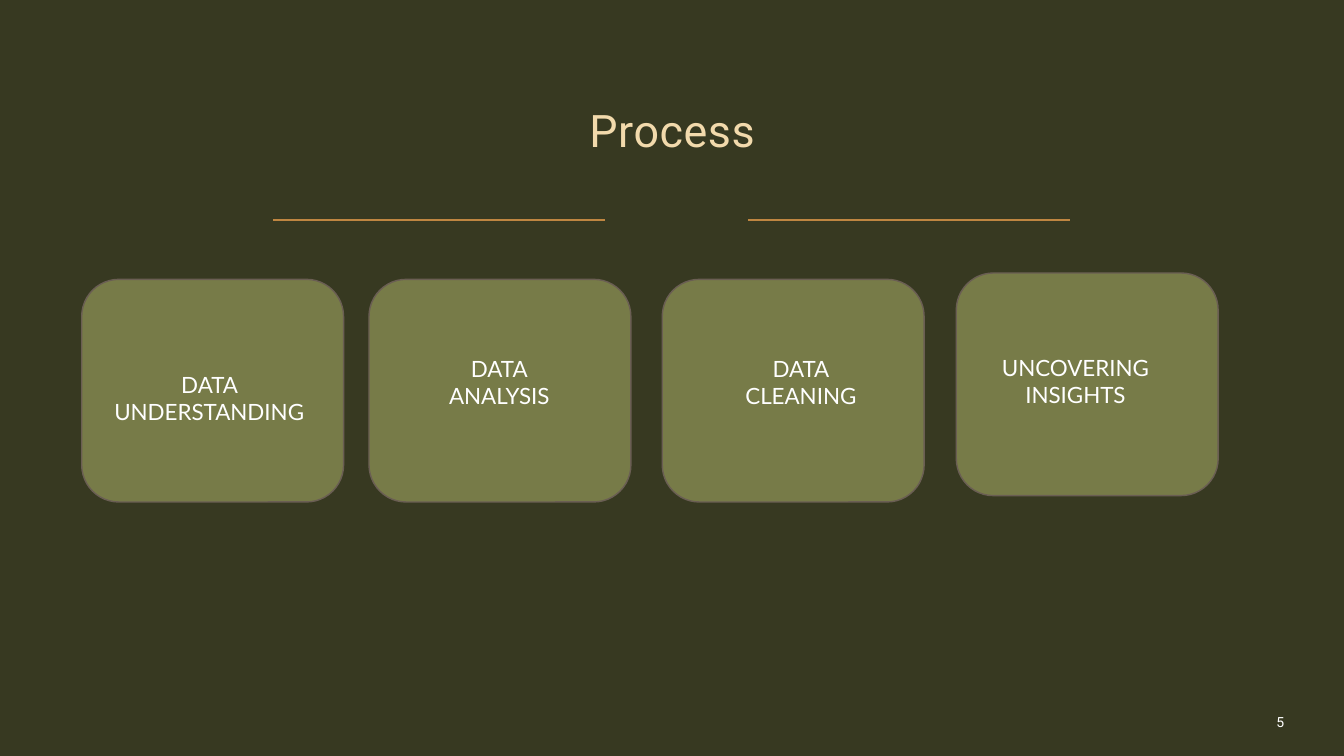
from dataclasses import dataclass

from lxml import etree
from pptx import Presentation, util as u
from pptx.dml.color import RGBColor
from pptx.enum import shapes, text
from pptx.oxml import ns


@dataclass(frozen=True)
class Theme:
    background: str = "373921"
    title: str = "F2DAAC"
    rule: str = "BF8641"
    card: str = "777B48"
    card_edge: str = "6A5E53"
    body: str = "FFFFFF"
    title_size: int = 32
    card_size: int = 16
    number_size: int = 10
    heading_font: str = "Roboto"
    body_font: str = "Lato"
    line_width: int = 1


THEME = Theme()
ALIGN = text.PP_ALIGN
ANCHOR = text.MSO_ANCHOR

# Card left and top, then caption offset inside the card, in cm
CARD_SIZE = (6.6, 5.61)
CAPTION_SIZE = (5.51, 1.63)
STEPS = [
    (["DATA UNDERSTANDING"], (2.06, 7.04), (0.46, 2.18)),
    (["DATA", "ANALYSIS"], (9.3, 7.04), (0.53, 1.78)),
    (["DATA", "CLEANING"], (16.69, 7.04), (0.74, 1.78)),
    (["UNCOVERING", "INSIGHTS"], (24.1, 6.88), (0.25, 1.93)),
]


def color(value):
    return RGBColor.from_string(value)


def add_text(page, area, lines, style, align=ALIGN.CENTER, anchor=ANCHOR.TOP,
             line_spacing=None, tracking=None):
    """Write lines in a text box; area is left, top, width, height in cm."""
    box = page.shapes.add_textbox(*map(u.Cm, area))
    frame = box.text_frame
    frame.word_wrap = True
    frame.vertical_anchor = anchor
    for index, line in enumerate(lines):
        para = frame.paragraphs[0] if index == 0 else frame.add_paragraph()
        para.alignment = align
        para.line_spacing = line_spacing
        span = para.add_run()
        span.text = line
        for name, value in style.items():
            if name == "color":
                span.font.color.rgb = color(value)
            else:
                setattr(span.font, name, value)
        if tracking:
            span._r.get_or_add_rPr().set("spc", str(tracking))


def add_header(page, left, top, width):
    """Centred title with a rule on each side below it."""
    style = {"name": THEME.heading_font, "size": u.Pt(THEME.title_size), "color": THEME.title}
    add_text(page, (left, top, width, 2.54), ["Process"], style,
             anchor=ANCHOR.MIDDLE, line_spacing=0.9, tracking=40)
    rule_top = u.Cm(top + 3.46)
    for start, end in ((5.61, 13.97), (17.58, 25.7)):
        rule = page.shapes.add_connector(
            shapes.MSO_CONNECTOR.STRAIGHT,
            u.Cm(left + start), rule_top, u.Cm(left + end), rule_top)
        rule.line.color.rgb = color(THEME.rule)
        rule.line.width = u.Pt(THEME.line_width)
        etree.SubElement(rule.line._get_or_add_ln().getparent(), ns.qn("a:effectLst"))


def add_step(page, lines, corner, offset):
    """Rounded card with its caption placed from the card's corner."""
    card = page.shapes.add_shape(shapes.MSO_SHAPE.ROUNDED_RECTANGLE,
                                 *map(u.Cm, corner + CARD_SIZE))
    card.shadow.inherit = False
    card.fill.solid()
    card.fill.fore_color.rgb = color(THEME.card)
    card.line.color.rgb = color(THEME.card_edge)
    card.line.width = u.Pt(THEME.line_width)

    style = {"name": THEME.body_font, "size": u.Pt(THEME.card_size), "color": THEME.body}
    caption_corner = tuple(edge + shift for edge, shift in zip(corner, offset))
    add_text(page, caption_corner + CAPTION_SIZE, lines, style)


def add_page_number(page, area):
    style = {"name": THEME.heading_font, "size": u.Pt(THEME.number_size), "color": THEME.body}
    add_text(page, area, ["5"], style, align=ALIGN.RIGHT, anchor=ANCHOR.BOTTOM)


def main():
    deck = Presentation()
    deck.slide_width, deck.slide_height = u.Cm(33.87), u.Cm(19.05)
    page = deck.slides.add_slide(deck.slide_layouts[6])
    page.background.fill.solid()
    page.background.fill.fore_color.rgb = color(THEME.background)

    add_header(page, 1.27, 2.08, 31.34)
    for lines, corner, offset in STEPS:
        add_step(page, lines, corner, offset)
    add_page_number(page, (24.99, 18.03, 7.62, 0.51))

    deck.save("out.pptx")


if __name__ == "__main__":
    main()
